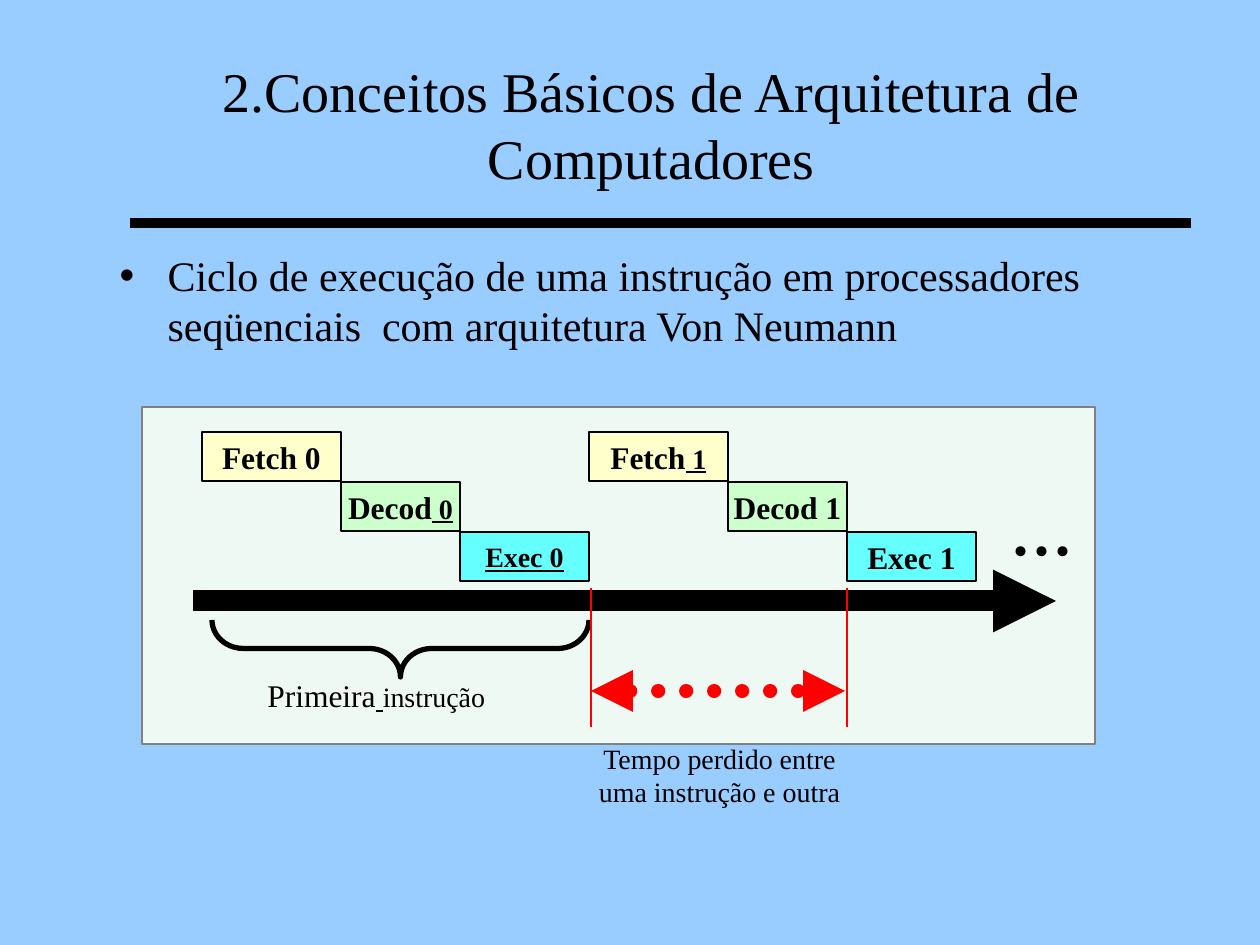
"""Build the slide on the instruction cycle of sequential processors."""
from dataclasses import dataclass
from itertools import accumulate

from lxml import etree
from pptx import Presentation
from pptx import util as u
from pptx.dml.color import RGBColor
from pptx.enum import shapes, text
from pptx.oxml import ns

SCALE = u.Inches(1) / 126
KIND = shapes.MSO_SHAPE
ALIGN = text.PP_ALIGN
ANCHOR = text.MSO_ANCHOR


@dataclass(frozen=True)
class Theme:
    """Colours, font and type sizes of the slide."""
    font: str = "Times New Roman"
    back: str = "99CCFF"
    panel: str = "EEF9F4"
    edge: str = "808080"
    ink: str = "000000"
    alert: str = "FF0000"
    fetch: str = "FFFFCC"
    decode: str = "CCFFCC"
    exec: str = "66FFFF"
    title: int = 32
    body: int = 24
    label: int = 18
    small: int = 16
    dots: int = 48


@dataclass(frozen=True)
class Part:
    """One run of text with its size and underline."""
    text: str
    size: int
    under: bool = False


@dataclass(frozen=True)
class Stage:
    """One step of the cycle: block width and fill."""
    width: int
    fill: str


@dataclass(frozen=True)
class Rule:
    """A straight line with optional arrowheads and round dots."""
    x1: int
    y1: int
    x2: int
    y2: int
    color: str
    width: float
    heads: tuple[str, ...] = ()
    dotted: bool = False


THEME = Theme()
STAGES = [Stage(139, THEME.fetch), Stage(119, THEME.decode), Stage(129, THEME.exec)]
LABELS = [
    [Part("Fetch 0", THEME.label)],
    [Part("Decod", THEME.label), Part(" 0", THEME.small, True)],
    [Part("Exec 0", THEME.small, True)],
    [Part("Fetch", THEME.label), Part(" 1", THEME.small, True)],
    [Part("Decod 1", THEME.label)],
    [Part("Exec 1", THEME.label)],
]
RULES = [
    Rule(193, 601, 1056, 601, THEME.ink, 12, ("tailEnd",)),
    Rule(591, 691, 845, 691, THEME.alert, 8, ("headEnd", "tailEnd"), True),
    Rule(591, 588, 591, 727, THEME.alert, 0.75),
    Rule(847, 588, 847, 727, THEME.alert, 0.75),
    Rule(130, 223, 1191, 223, THEME.ink, 6),
]


def px(size: int) -> u.Emu:
    """Turn pixels into EMU."""
    return u.Emu(round(size * SCALE))


def rgb(code: str) -> RGBColor:
    """Turn a hex code into a colour."""
    return RGBColor.from_string(code)


def style(run, size: int, bold: bool = False, under: bool = False) -> None:
    """Format one run in the slide's font."""
    font = run.font
    font.name, font.size, font.bold = THEME.font, u.Pt(size), bold
    font.underline = under
    font.color.rgb = rgb(THEME.ink)


def write(frame, parts: list[Part], align=ALIGN.LEFT, bold: bool = False) -> None:
    """Fill the first paragraph of a frame with formatted runs."""
    para = frame.paragraphs[0]
    para.alignment = align
    for part in parts:
        run = para.add_run()
        run.text = part.text
        style(run, part.size, bold, part.under)


def shape(slide, kind, box: tuple[int, ...], fill: str | None, line: str, width: float):
    """Draw a preset shape and return it."""
    item = slide.shapes.add_shape(kind, *map(px, box))
    item.shadow.inherit = False
    if fill:
        item.fill.solid()
        item.fill.fore_color.rgb = rgb(fill)
    else:
        item.fill.background()
    item.line.color.rgb = rgb(line)
    item.line.width = u.Pt(width)
    return item


def note(slide, box: tuple[int, ...], parts: list[Part], align=ALIGN.LEFT, wrap=True) -> None:
    """Add a plain text box."""
    frame = slide.shapes.add_textbox(*map(px, box)).text_frame
    frame.word_wrap = wrap
    write(frame, parts, align)


def draw(slide, rule: Rule) -> None:
    """Draw a line with its dots and arrowheads."""
    ends = map(px, (rule.x1, rule.y1, rule.x2, rule.y2))
    item = slide.shapes.add_connector(shapes.MSO_CONNECTOR.STRAIGHT, *ends)
    item.line.color.rgb = rgb(rule.color)
    item.line.width = u.Pt(rule.width)
    line = item.line._get_or_add_ln()
    if rule.dotted:
        line.set("cap", "rnd")
        etree.SubElement(line, ns.qn("a:prstDash"), val="sysDot")
    for head in rule.heads:
        etree.SubElement(line, ns.qn(f"a:{head}"), type="triangle")
    etree.SubElement(item._element.spPr, ns.qn("a:effectLst"))


def holder(item, box: tuple[int, ...], words: str, size: int, anchor) -> None:
    """Move, fill and format a placeholder."""
    item.left, item.top, item.width, item.height = map(px, box)
    frame = item.text_frame
    frame.text = words
    frame.word_wrap = True
    frame.auto_size = text.MSO_AUTO_SIZE.NONE
    frame.vertical_anchor = anchor
    para = frame.paragraphs[0]
    para.space_before = u.Pt(0)
    style(para.runs[0], size)


def blocks(slide) -> None:
    """Draw the two staircases of stages."""
    steps = STAGES * 2
    lefts = accumulate((step.width for step in steps), initial=202)
    for i, (step, left, parts) in enumerate(zip(steps, lefts, LABELS)):
        box = (left, 432 + 50 * (i % len(STAGES)), step.width, 49)
        item = shape(slide, KIND.RECTANGLE, box, step.fill, THEME.ink, 1)
        item.text_frame.word_wrap = False
        item.text_frame.vertical_anchor = ANCHOR.MIDDLE
        write(item.text_frame, parts, ALIGN.CENTER, True)


def main() -> None:
    """Build and save the slide."""
    deck = Presentation()
    deck.slide_width, deck.slide_height = px(1260), px(945)
    slide = deck.slides.add_slide(deck.slide_layouts[1])
    slide.background.fill.solid()
    slide.background.fill.fore_color.rgb = rgb(THEME.back)
    title, body = slide.placeholders
    holder(title, (116, 45, 1071, 158), "2.Conceitos Básicos de Arquitetura de Computadores",
           THEME.title, ANCHOR.MIDDLE)
    holder(body, (107, 243, 1071, 135), "Ciclo de execução de uma instrução em processadores "
           "seqüenciais  com arquitetura Von Neumann", THEME.body, ANCHOR.TOP)
    props = body.text_frame.paragraphs[0]._p.get_or_add_pPr()
    props.set("marL", str(px(48)))
    props.set("indent", str(-px(48)))
    etree.SubElement(props, ns.qn("a:buChar"), char="•")
    shape(slide, KIND.RECTANGLE, (142, 407, 953, 337), THEME.panel, THEME.edge, 1)
    blocks(slide)
    brace = shape(slide, KIND.RIGHT_BRACE, (372, 460, 57, 377), None, THEME.ink, 3)
    brace.rotation = 90
    brace.adjustments[0] = 0.55
    note(slide, (998, 465, 88, 113), [Part("...", THEME.dots)], wrap=False)
    note(slide, (255, 670, 291, 50), [Part("Primeira", THEME.label),
         Part(" ", THEME.small, True), Part("instrução", THEME.small)])
    note(slide, (577, 735, 285, 81),
         [Part("Tempo perdido entre uma instrução e outra", THEME.small)], ALIGN.CENTER)
    for rule in RULES:
        draw(slide, rule)
    deck.save("out.pptx")


if __name__ == "__main__":
    main()
